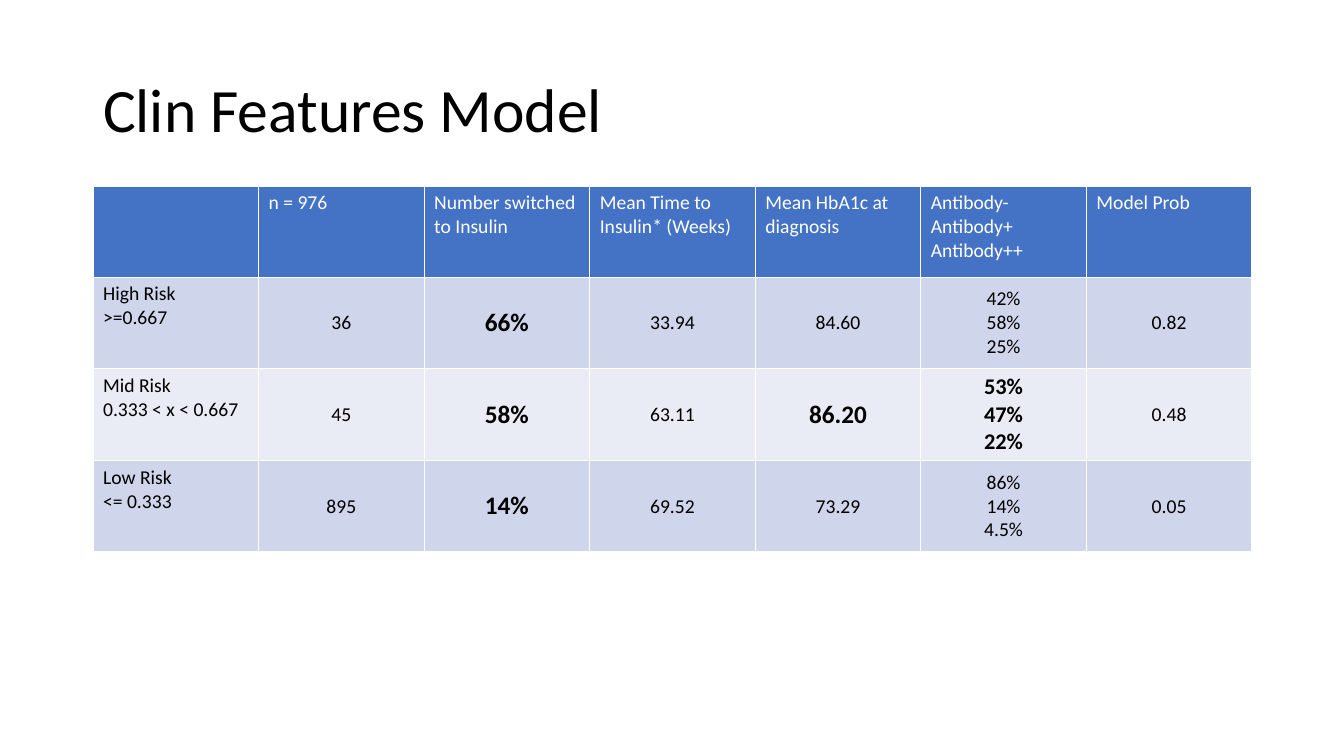
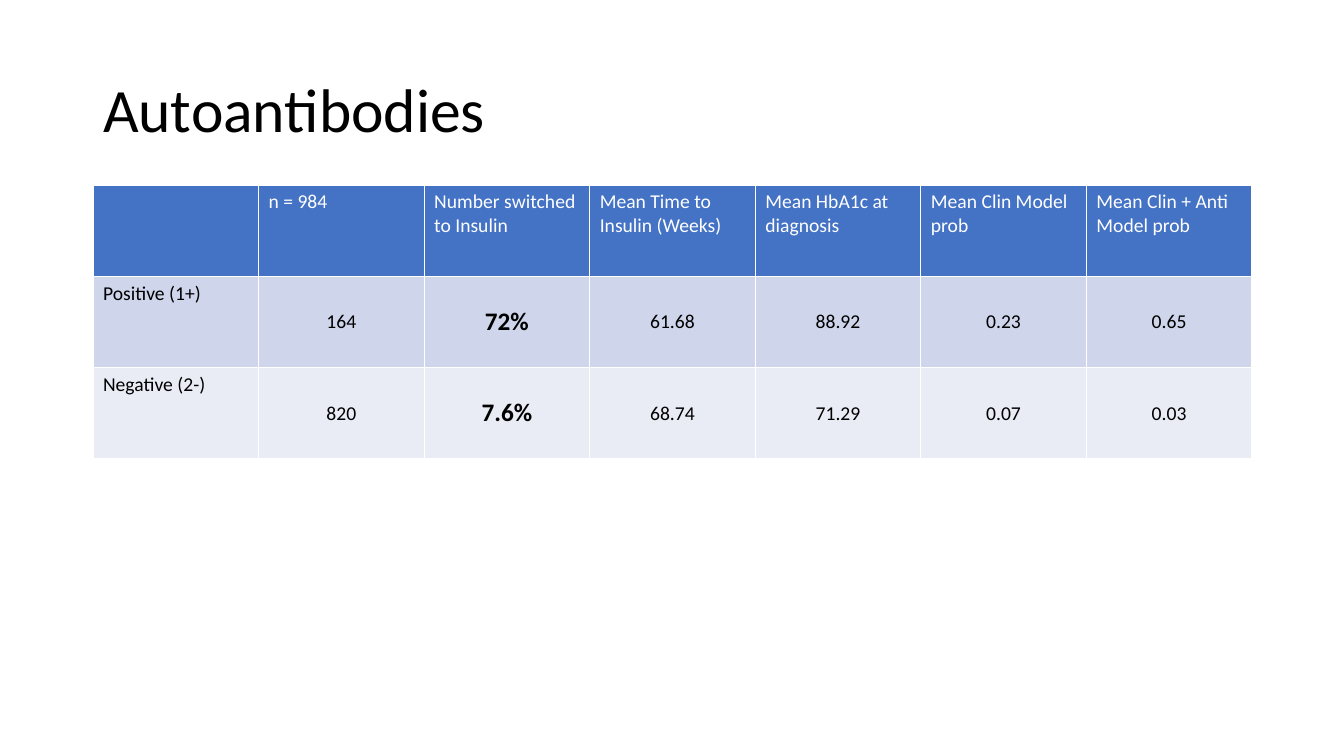
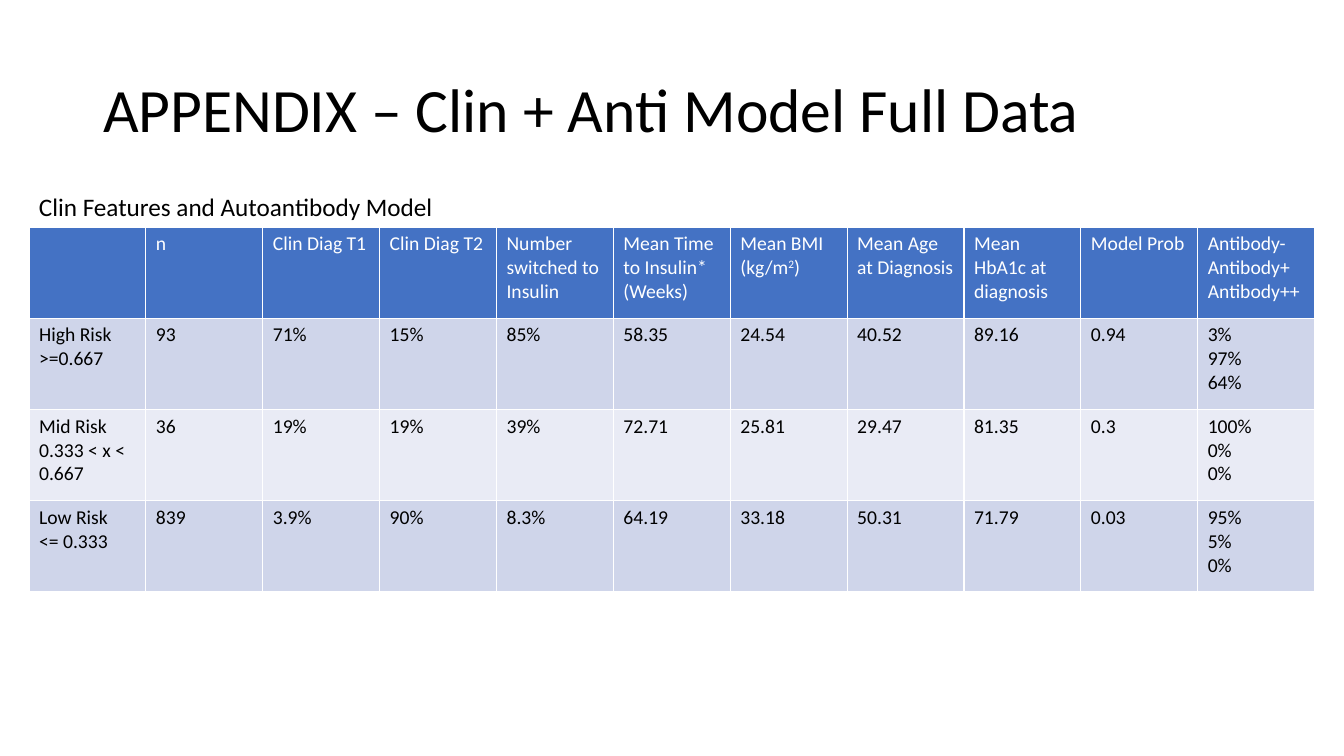
from dataclasses import dataclass
from typing import NamedTuple, Optional, Union

from pptx import Presentation
from pptx.dml.color import RGBColor
from pptx.enum.text import MSO_ANCHOR, PP_ALIGN
from pptx.util import Pt

LEFT, CENTER = PP_ALIGN.LEFT, PP_ALIGN.CENTER
TOP, MIDDLE = MSO_ANCHOR.TOP, MSO_ANCHOR.MIDDLE

BLACK = RGBColor(0x00, 0x00, 0x00)
WHITE = RGBColor(0xFF, 0xFF, 0xFF)
HEADER_BLUE = RGBColor(0x44, 0x72, 0xC4)
BAND_DARK = RGBColor(0xCF, 0xD5, 0xEA)
BAND_LIGHT = RGBColor(0xE9, 0xEB, 0xF5)

FONT = "Calibri"
EMU_PER_PIXEL = 914400 / 100.8
TITLE_ONLY_LAYOUT = 5


class Box(NamedTuple):
    """A rectangle in pixels."""

    left: int
    top: int
    width: int
    height: int


class Strong(NamedTuple):
    """Cell text that stands out in bold."""

    text: str
    size: int = 18


Row = list[Union[str, Strong]]


@dataclass
class TableSlide:
    """A titled slide with one table; the first row is its header."""

    title: str
    box: Box
    rows: list[Row]
    centred: bool = True
    caption: Optional[str] = None


SLIDE_WIDTH, SLIDE_HEIGHT = 1344, 756
TITLE_BOX = Box(93, 40, 1159, 146)
CAPTION_BOX = Box(29, 186, 672, 40)

ANTIBODIES = "Antibody-\nAntibody+\nAntibody++"
HIGH_RISK = "High Risk\n>=0.667"
MID_RISK = "Mid Risk\n0.333 < x < 0.667"
LOW_RISK = "Low Risk\n<= 0.333"
SWITCHED = "Number switched to Insulin"
HBA1C = "Mean HbA1c at diagnosis"

SLIDES = [
    TableSlide("Clin Features Model", Box(93, 186, 1159, 365), [
        ["", "n = 976", SWITCHED, "Mean Time to Insulin* (Weeks)", HBA1C,
         ANTIBODIES, "Model Prob"],
        [HIGH_RISK, "36", Strong("66%"), "33.94", "84.60",
         "42%\n58%\n25%", "0.82"],
        [MID_RISK, "45", Strong("58%"), "63.11", Strong("86.20"),
         Strong("53%\n47%\n22%", 16), "0.48"],
        [LOW_RISK, "895", Strong("14%"), "69.52", "73.29",
         "86%\n14%\n4.5%", "0.05"],
    ]),
    TableSlide("Autoantibodies", Box(93, 185, 1159, 274), [
        ["", "n = 984", SWITCHED, "Mean Time to Insulin (Weeks)", HBA1C,
         "Mean Clin Model prob", "Mean Clin + Anti Model prob"],
        ["Positive (1+)", "164", Strong("72%"), "61.68", "88.92", "0.23", "0.65"],
        ["Negative (2-)", "820", Strong("7.6%"), "68.74", "71.29", "0.07", "0.03"],
    ]),
    TableSlide("APPENDIX – Clin + Anti Model Full Data", Box(29, 227, 1286, 365), [
        ["", "n", "Clin Diag T1", "Clin Diag T2", SWITCHED,
         "Mean Time to Insulin* (Weeks)", "Mean BMI (kg/m^2^)",
         "Mean Age at Diagnosis", HBA1C, "Model Prob", ANTIBODIES],
        [HIGH_RISK, "93", "71%", "15%", "85%", "58.35", "24.54", "40.52",
         "89.16", "0.94", "3%\n97%\n64%"],
        [MID_RISK, "36", "19%", "19%", "39%", "72.71", "25.81", "29.47",
         "81.35", "0.3", "100%\n0%\n0%"],
        [LOW_RISK, "839", "3.9%", "90%", "8.3%", "64.19", "33.18", "50.31",
         "71.79", "0.03", "95%\n5%\n0%"],
    ], centred=False, caption="Clin Features and Autoantibody Model"),
]


def emu(pixels: float) -> int:
    """Turn pixels into EMU."""
    return round(pixels * EMU_PER_PIXEL)


def emu_box(box: Box) -> list[int]:
    """Turn a pixel box into EMU lengths."""
    return [emu(length) for length in box]


def write_text(text_frame, text: str, size: int, color: RGBColor = BLACK,
               bold: bool = False, alignment=LEFT,
               line_spacing: Optional[float] = None) -> None:
    """Write one paragraph a line; text between carets is superscript."""
    font_format = {"name": FONT, "size": Pt(size), "bold": bold}
    for index, line in enumerate(text.split("\n")):
        paragraph = text_frame.add_paragraph() if index else text_frame.paragraphs[0]
        paragraph.alignment = alignment
        paragraph.line_spacing = line_spacing
        for part_index, part in enumerate(line.split("^")):
            run = paragraph.add_run()
            run.text = part
            for name, value in font_format.items():
                setattr(run.font, name, value)
            run.font.color.rgb = color
            if part_index % 2:
                run._r.get_or_add_rPr().set("baseline", "30000")


def add_title(slide, text: str) -> None:
    """Place and fill the title placeholder."""
    title = slide.shapes.title
    title.left, title.top, title.width, title.height = emu_box(TITLE_BOX)
    title.text_frame.vertical_anchor = MIDDLE
    write_text(title.text_frame, text, 44, line_spacing=0.9)


def add_caption(slide, text: str) -> None:
    """Add the line of text above a table."""
    text_frame = slide.shapes.add_textbox(*emu_box(CAPTION_BOX)).text_frame
    text_frame.word_wrap = True
    write_text(text_frame, text, 18)


def add_data_table(slide, content: TableSlide) -> None:
    """Add a table with equal columns and rows, a header and banded rows."""
    row_count, column_count = len(content.rows), len(content.rows[0])
    table = slide.shapes.add_table(row_count, column_count,
                                   *emu_box(content.box)).table
    for column in table.columns:
        column.width = emu(content.box.width / column_count)
    for row in table.rows:
        row.height = emu(content.box.height / row_count)
    for row_index, values in enumerate(content.rows):
        is_header = row_index == 0
        band = BAND_DARK if row_index % 2 else BAND_LIGHT
        for column_index, value in enumerate(values):
            cell = table.cell(row_index, column_index)
            cell.fill.solid()
            cell.fill.fore_color.rgb = HEADER_BLUE if is_header else band
            is_centred = content.centred and not is_header and column_index > 0
            cell.vertical_anchor = MIDDLE if is_centred else TOP
            bold = isinstance(value, Strong)
            text, size = value if bold else (value, 14)
            if text:
                write_text(cell.text_frame, text, size,
                           WHITE if is_header else BLACK, bold,
                           CENTER if is_centred else LEFT)


def build() -> None:
    """Build and save the presentation."""
    presentation = Presentation()
    presentation.slide_width = emu(SLIDE_WIDTH)
    presentation.slide_height = emu(SLIDE_HEIGHT)
    layout = presentation.slide_layouts[TITLE_ONLY_LAYOUT]
    for content in SLIDES:
        slide = presentation.slides.add_slide(layout)
        add_title(slide, content.title)
        add_data_table(slide, content)
        if content.caption:
            add_caption(slide, content.caption)
    presentation.save("out.pptx")


build()
